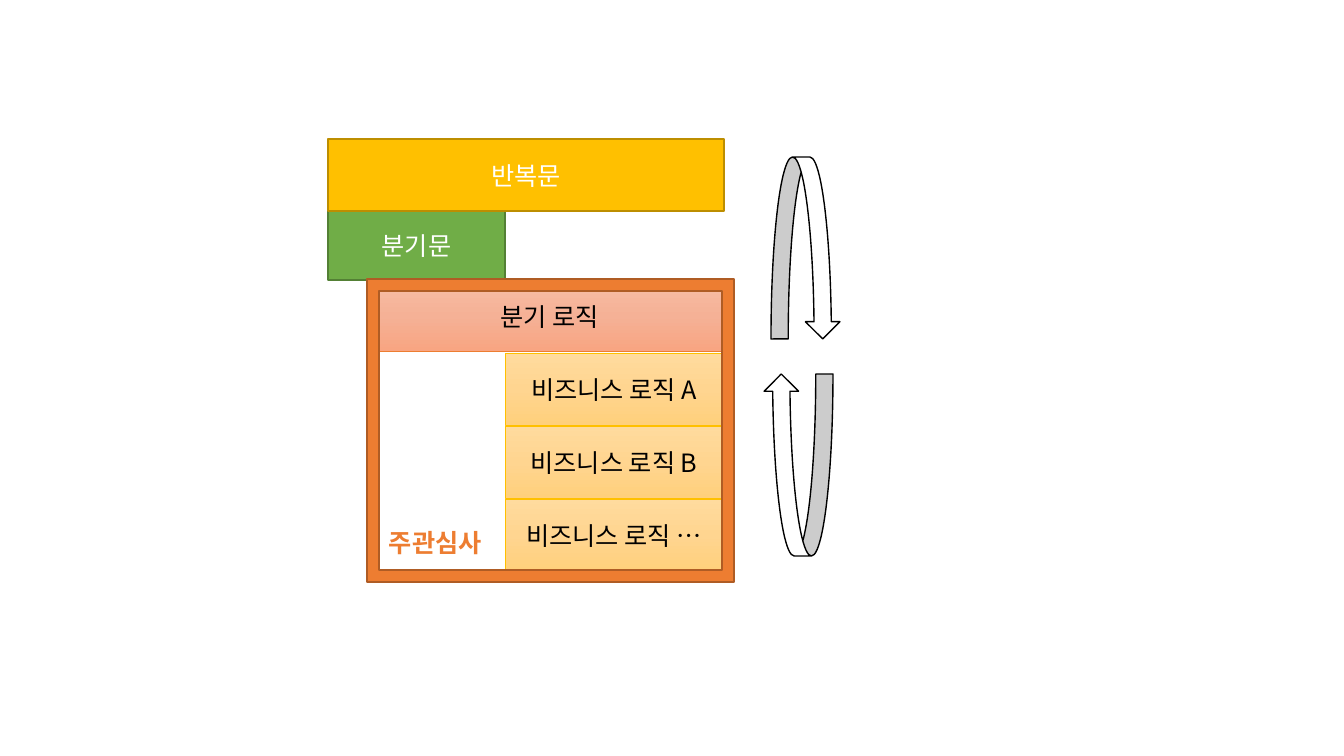
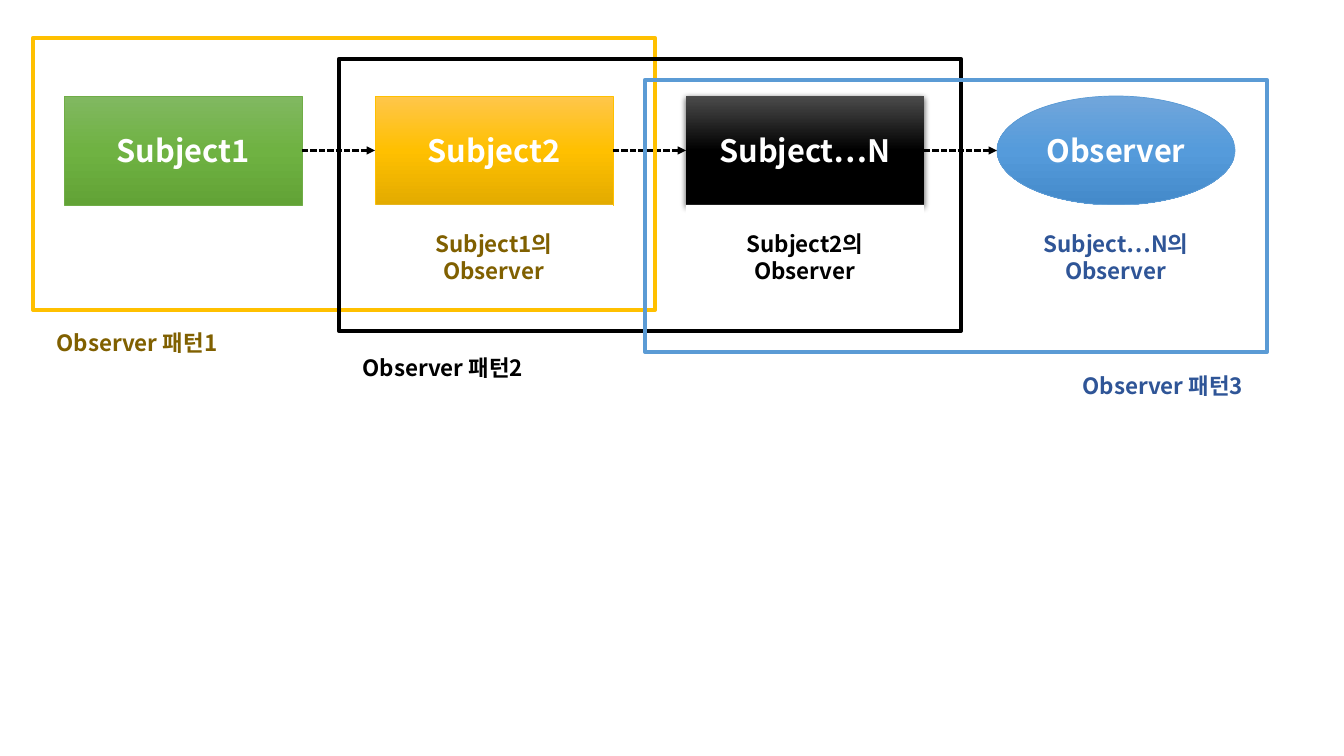
from copy import deepcopy

from lxml import etree
from pptx import Presentation
from pptx.dml.color import RGBColor
from pptx.enum.dml import MSO_LINE
from pptx.enum.shapes import MSO_CONNECTOR, MSO_SHAPE
from pptx.enum.text import MSO_ANCHOR, MSO_AUTO_SIZE, PP_ALIGN
from pptx.oxml.ns import qn
from pptx.util import Pt

RECT, OVAL, FRAME = MSO_SHAPE.RECTANGLE, MSO_SHAPE.OVAL, MSO_SHAPE.FRAME
CURVED = MSO_SHAPE.CURVED_DOWN_ARROW
STRAIGHT, DASH = MSO_CONNECTOR.STRAIGHT, MSO_LINE.SQUARE_DOT
CENTER, LEFT = PP_ALIGN.CENTER, PP_ALIGN.LEFT
MIDDLE, GROW = MSO_ANCHOR.MIDDLE, MSO_AUTO_SIZE.SHAPE_TO_FIT_TEXT

PX = 914400 / 100.8
FONT = "Noto Sans CJK KR"
C = {
    "white": "FFFFFF", "black": "000000",
    "green": "70AD47", "green_edge": "538035",
    "gold": "FFC000", "gold_edge": "BD8E00", "gold_text": "806000",
    "orange": "ED7D31", "orange_edge": "AF5C24",
    "blue": "5B9BD5", "blue_text": "2F5597",
}
GRADIENTS = {
    "salmon": ("F7BDA5", "F5B196", "F8A582"),
    "amber": ("FFDB9E", "FFD590", "FFD07C"),
    "green": ("81B861", "6FB242", "62A336"),
    "gold": ("FFC64B", "FFC000", "E3AB00"),
    "black": ("4B4B4B", "000000", "000000"),
    "blue": ("71A6DB", "559BDB", "448ACA"),
}
LABEL = {"size": Pt(18), "bold": False}
NODE = {"size": Pt(22), "bold": True}
NOTE = {"size": Pt(16), "bold": True}


def put_text(sp, text, fmt, color, align=CENTER):
    tf = sp.text_frame
    tf.word_wrap = True
    p = tf.paragraphs[0]
    p.alignment = align
    r = p.add_run()
    r.text = text
    for name, value in {**fmt, "name": FONT}.items():
        setattr(r.font, name, value)
    r.font.color.rgb = RGBColor.from_string(C[color])
    ea = etree.SubElement(r._r.get_or_add_rPr(), qn("a:ea"))
    ea.set("typeface", FONT)


def add_box(shapes, kind, box, fill=None, grad=None, line=None, width=1):
    sp = shapes.add_shape(kind, *[round(v * PX) for v in box])
    sp.shadow.inherit = False
    sp.text_frame.vertical_anchor = MIDDLE
    if grad:
        sp.fill.gradient()
        sp.fill.gradient_angle = 270
        gs = sp._element.spPr.find(".//" + qn("a:gsLst"))
        gs.insert(1, deepcopy(gs[0]))
        for i, (stop, color) in enumerate(zip(sp.fill.gradient_stops, GRADIENTS[grad])):
            stop.position = i / 2
            stop.color.rgb = RGBColor.from_string(color)
    elif fill:
        sp.fill.solid()
        sp.fill.fore_color.rgb = RGBColor.from_string(C[fill])
    else:
        sp.fill.background()
    if line:
        sp.line.color.rgb = RGBColor.from_string(C[line])
        sp.line.width = Pt(width)
    else:
        sp.line.fill.background()
    return sp


prs = Presentation()
prs.slide_width, prs.slide_height = round(1344 * PX), round(756 * PX)
blank = prs.slide_layouts[6]

s = prs.slides.add_slide(blank)
for text, box, color in [
    ("분기문", (328, 210, 177, 70), "green"),
    ("반복문", (328, 139, 396, 72), "gold"),
]:
    sp = add_box(s.shapes, RECT, box, fill=color, line=color + "_edge")
    put_text(sp, text, LABEL, "white")

sp = add_box(s.shapes, RECT, (375, 281, 349, 70), grad="salmon", line="orange", width=0.5)
put_text(sp, "분기 로직", LABEL, "black")

arrows = s.shapes.add_group_shape()
for x, y, turn in [(764, 374, 180), (771, 157, 0)]:
    sp = add_box(arrows.shapes, CURVED, (x, y, 69, 182), fill="white", line="black")
    sp.rotation = turn

for i, name in enumerate("AB…"):
    sp = add_box(s.shapes, RECT, (505, 353 + 73 * i, 218, 72), grad="amber", line="gold", width=0.5)
    put_text(sp, f"비즈니스 로직 {name}", LABEL, "black")

sp = add_box(s.shapes, FRAME, (367, 279, 367, 303), fill="orange", line="orange_edge")
sp.adjustments[0] = 0.04

sp = s.shapes.add_textbox(*[round(v * PX) for v in (379, 522, 127, 40)])
put_text(sp, "주관심사", {"size": Pt(18), "bold": True}, "orange", LEFT)
sp.text_frame.auto_size = GROW

s = prs.slides.add_slide(blank)
nodes = []
for i, (text, kind, color, edge) in enumerate([
    ("Subject1", RECT, "green", "green"),
    ("Subject2", RECT, "gold", "gold"),
    ("Subject…N", RECT, "black", None),
    ("Observer", OVAL, "blue", "blue"),
]):
    sp = add_box(s.shapes, kind, (64 + 311 * i, 96, 238, 109), grad=color, line=edge, width=0.5)
    put_text(sp, text, NODE, "white")
    nodes.append(sp)

effects = nodes[2]._element.spPr.find(qn("a:effectLst"))
shadow = etree.SubElement(effects, qn("a:outerShdw"), blurRad="57150", dist="19050",
                          dir="5400000", algn="ctr", rotWithShape="0")
shade = etree.SubElement(shadow, qn("a:srgbClr"), val=C["black"])
etree.SubElement(shade, qn("a:alpha"), val="63000")

for a, b in zip(nodes, nodes[1:]):
    y = a.top + a.height // 2
    cn = s.shapes.add_connector(STRAIGHT, a.left + a.width, y, b.left, y)
    cn.begin_connect(a, 3)
    if b is not nodes[-1]:
        cn.end_connect(b, 1)
    cn.line.color.rgb = RGBColor.from_string(C["black"])
    cn.line.width = Pt(1.5)
    cn.line.dash_style = DASH
    etree.SubElement(cn.line._get_or_add_ln(), qn("a:tailEnd"), type="triangle")
    etree.SubElement(cn._element.spPr, qn("a:effectLst"))

text_colors = ["gold_text", "black", "blue_text"]
for i, (subject, color) in enumerate(zip(["Subject1", "Subject2", "Subject…N"], text_colors)):
    sp = add_box(s.shapes, RECT, (375 + 311 * i, 205, 238, 105), fill="white")
    put_text(sp, f"{subject}의 Observer", NOTE, color)

for i, edge in enumerate(["gold", "black", "blue"]):
    add_box(s.shapes, RECT, (33 + 306 * i, 38 + 21 * i, 622, 272), line=edge, width=3)

for i, (x, y, color) in enumerate(zip([33, 339, 1059], [318, 343, 361], text_colors)):
    sp = add_box(s.shapes, RECT, (x, y, 208, 50), fill="white")
    put_text(sp, f"Observer 패턴{i + 1}", NOTE, color)

prs.save("out.pptx")
